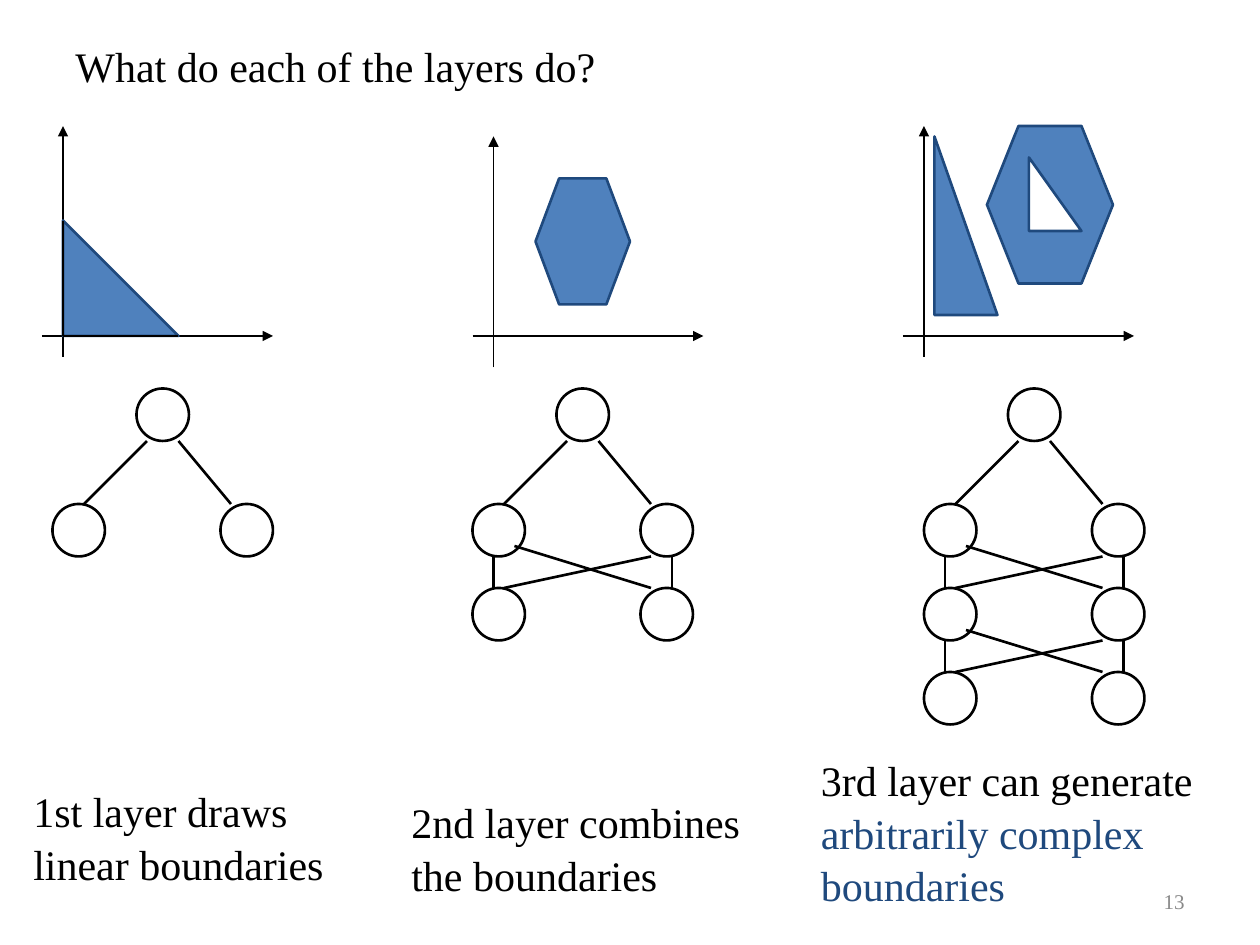
"""Build a slide on what each layer of a neural network contributes."""
import pptx
import pptx.dml.color
import pptx.enum.shapes
import pptx.enum.text
import pptx.oxml.ns
import pptx.util
from lxml import etree

Pt = pptx.util.Pt
SHAPE = pptx.enum.shapes.MSO_SHAPE
ALIGN = pptx.enum.text.PP_ALIGN
ANCHOR = pptx.enum.text.MSO_ANCHOR

BLACK, NAVY, BLUE, WHITE, GRAY = "000000", "1F497D", "4F81BD", "FFFFFF", "898989"
FONT = "Times New Roman"
NODE = 30
ROOT_TOP = 222
ROW_TOP = 288
ROW_STEP = 48
AXIS_LENGTH = 132
AXIS_Y = 192

CAPTIONS = [
    ((36, 18, 672, 36), [("What do each of the layers do?", BLACK)]),
    ((12, 444, 205, 65), [("1st layer draws linear boundaries", BLACK)]),
    ((228, 450, 222, 109), [("2nd layer combines the boundaries", BLACK)]),
    ((462, 426, 258, 94), [("3rd layer can generate ", BLACK),
                           ("arbitrarily complex boundaries", NAVY)]),
]
PAGE_NUMBER = ((516, 500.4, 168, 28.8), [("13", GRAY)])
AXES = [(24, 72), (270, 78), (516, 72)]
REGIONS = [
    (SHAPE.RIGHT_TRIANGLE, (36, 126, 66, 66), BLUE),
    (SHAPE.HEXAGON, (306, 102, 54, 72), BLUE),
    (SHAPE.HEXAGON, (564, 72, 72, 90), BLUE),
    (SHAPE.RIGHT_TRIANGLE, (534, 78, 36, 102), BLUE),
    (SHAPE.RIGHT_TRIANGLE, (588, 90, 30, 42), WHITE),
]
NETWORKS = [(30, 1), (270, 2), (528, 3)]
ROOT_LINKS = [(18, 0, 54, -36), (102, 0, 72, -36)]
ROW_LINKS = [(18, 0, 102, -18), (102, 0, 24, -24), (12, 0, 12, -18), (114, 0, 114, -18)]


def color(value):
    return pptx.dml.color.RGBColor.from_string(value)


def add_text(page, frame, spans, size=24, align=ALIGN.LEFT, anchor=ANCHOR.TOP, spacing=1.05):
    box = page.shapes.add_textbox(*map(Pt, frame))
    box.text_frame.word_wrap = True
    box.text_frame.vertical_anchor = anchor
    para = box.text_frame.paragraphs[0]
    para.alignment = align
    para.line_spacing = spacing
    para.font.name = FONT
    para.font.size = Pt(size)
    for text, tone in spans:
        span = para.add_run()
        span.text = text
        span.font.color.rgb = color(tone)


def add_figure(page, kind, frame, fill=None, line=BLACK):
    figure = page.shapes.add_shape(kind, *map(Pt, frame))
    figure.shadow.inherit = False
    if fill:
        figure.fill.solid()
        figure.fill.fore_color.rgb = color(fill)
    else:
        figure.fill.background()
    figure.line.color.rgb = color(line)
    figure.line.width = Pt(1.5)


def add_line(page, ends, width=1.5, arrow=False):
    straight = pptx.enum.shapes.MSO_CONNECTOR.STRAIGHT
    link = page.shapes.add_connector(straight, *map(Pt, ends))
    link.line.color.rgb = color(BLACK)
    link.line.width = Pt(width)
    if arrow:
        outline = link.line._get_or_add_ln()
        etree.SubElement(outline, pptx.oxml.ns.qn("a:tailEnd"), type="triangle")
    etree.SubElement(link._element.spPr, pptx.oxml.ns.qn("a:effectLst"))


def add_links(page, left, top, links):
    for x1, y1, x2, y2 in links:
        add_line(page, (left + x1, top + y1, left + x2, top + y2))


def add_network(page, left, rows):
    add_figure(page, SHAPE.OVAL, (left + 48, ROOT_TOP, NODE, NODE))
    for row in range(rows):
        top = ROW_TOP + row * ROW_STEP
        for offset in (0, 96):
            add_figure(page, SHAPE.OVAL, (left + offset, top, NODE, NODE))
        add_links(page, left, top, ROW_LINKS if row else ROOT_LINKS)


def main():
    deck = pptx.Presentation()
    deck.slide_width, deck.slide_height = Pt(720), Pt(540)
    page = deck.slides.add_slide(deck.slide_layouts[6])
    for frame, spans in CAPTIONS:
        add_text(page, frame, spans)
    for left, top in AXES:
        add_line(page, (left, AXIS_Y, left + AXIS_LENGTH, AXIS_Y), 0.75, True)
        add_line(page, (left + 12, top + AXIS_LENGTH, left + 12, top), 0.75, True)
    for kind, frame, fill in REGIONS:
        add_figure(page, kind, frame, fill, NAVY)
    left, top = AXES[0]
    add_line(page, (left + 12, 126, left + 12, AXIS_Y), 0.75)
    add_line(page, (left + 12, AXIS_Y, left + 78, AXIS_Y), 0.75)
    for left, rows in NETWORKS:
        add_network(page, left, rows)
    add_text(page, *PAGE_NUMBER, 12, ALIGN.RIGHT, ANCHOR.MIDDLE, 1)
    deck.save("out.pptx")


if __name__ == "__main__":
    main()
